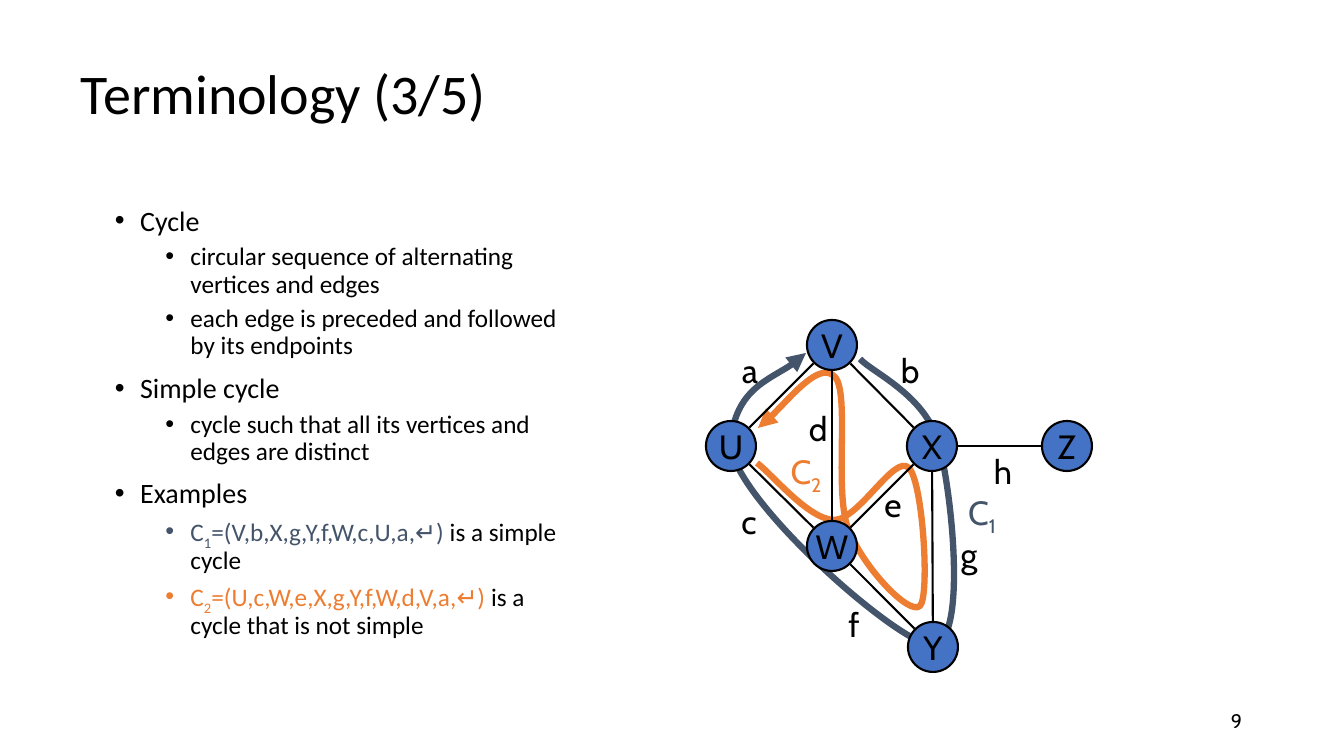
"""Build the graph terminology slide on cycles."""
import math
import pptx
import pptx.util
import pptx.dml.color
import pptx.enum.shapes
import pptx.enum.text
import pptx.oxml.ns
from lxml import etree

RGB = pptx.dml.color.RGBColor
BLACK = RGB(0, 0, 0)
SLATE = RGB(0x44, 0x54, 0x6A)
ORANGE = RGB(0xED, 0x7D, 0x31)
BLUE = RGB(0x44, 0x72, 0xC4)
ALIGN = pptx.enum.text.PP_ALIGN
ANCHOR = pptx.enum.text.MSO_ANCHOR
Pt = pptx.util.Pt
qn = pptx.oxml.ns.qn
SCALE = 914400 / 100.8

TITLE = "Terminology (3/5)"
PAGE = "9"
BODY = [
    (0, [("Cycle", BLACK, False)]),
    (1, [("circular sequence of alternating vertices and edges", BLACK, False)]),
    (1, [("each edge is preceded and followed by its endpoints", BLACK, False)]),
    (0, [("Simple cycle", BLACK, False)]),
    (1, [("cycle such that all its vertices and edges are distinct", BLACK, False)]),
    (0, [("Examples", BLACK, False)]),
    (1, [("C", SLATE, False), ("1", SLATE, True),
         ("=(V,b,X,g,Y,f,W,c,U,a,↵)", SLATE, False),
         (" is a simple cycle", BLACK, False)]),
    (1, [("C", ORANGE, False), ("2", ORANGE, True),
         ("=(U,c,W,e,X,g,Y,f,W,d,V,a,↵)", ORANGE, False),
         (" is a cycle that is not simple", BLACK, False)]),
]
LEVELS = [(20, 0.25, 10), (18, 0.75, 5)]

NODES = {"U": (731, 446), "V": (832, 345), "W": (832, 546),
         "X": (932, 446), "Y": (933, 647), "Z": (1067, 446)}
EDGES = ["VU", "WU", "WX", "XZ", "VX", "VW", "WY", "XY"]
SIZE, GAP = 50, 26

LABELS = {"a": (750, 345), "b": (910, 345), "c": (749, 496), "d": (818, 403),
          "e": (893, 479), "f": (854, 599), "g": (969, 529), "h": (1003, 446)}
NAMES = [("1", SLATE, (982, 487)), ("2", ORANGE, (806, 446))]

CYCLES = [
    (SLATE, "tailEnd", [
        (860, 359), (873, 373), (927, 396), (939, 445), (952, 492),
        (968, 645), (932, 645), (897, 644), (727, 493), (731, 442),
        (735, 389), (790, 371), (806, 353)]),
    (ORANGE, "headEnd", [
        (758, 428), (771, 420), (820, 360), (835, 377), (850, 393),
        (834, 490), (848, 528), (862, 566), (909, 616), (920, 606),
        (930, 596), (923, 482), (909, 468), (895, 453), (859, 520),
        (834, 520), (808, 519), (773, 475), (757, 463)]),
]

deck = pptx.Presentation()
deck.slide_width, deck.slide_height = (round(n * SCALE) for n in (1344, 756))
slide = deck.slides.add_slide(deck.slide_layouts[6])
shapes = slide.shapes


def px(*vals):
    return [round(val * SCALE) for val in vals]


def write(para, runs, size, face):
    para.font.size, para.font.name = Pt(size), face
    tints = {tint for _, tint, _ in runs}
    if len(tints) == 1:
        para.font.color.rgb = runs[0][1]
    for text, tint, sub in runs:
        run = para.add_run()
        run.text = text
        if len(tints) > 1:
            run.font.color.rgb = tint
        if sub:
            run.font._element.set("baseline", "-25000")


def add_box(area, runs, size, face, align=ALIGN.LEFT, anchor=ANCHOR.MIDDLE):
    frame = shapes.add_textbox(*px(*area)).text_frame
    frame.word_wrap = True
    frame.vertical_anchor = anchor
    para = frame.paragraphs[0]
    para.alignment = align
    write(para, runs, size, face)
    return frame


def add_label(spot, runs, wide):
    x, y = spot
    frame = add_box((x - wide / 2, y, wide, 50), runs, 24, "Cabin",
                    ALIGN.CENTER, ANCHOR.TOP)
    frame.word_wrap = False
    frame.auto_size = pptx.enum.text.MSO_AUTO_SIZE.SHAPE_TO_FIT_TEXT


def add_body():
    frame = shapes.add_textbox(*px(105, 202, 462, 487)).text_frame
    frame.word_wrap = True
    for i, (level, runs) in enumerate(BODY):
        size, indent, space = LEVELS[level]
        para = frame.add_paragraph() if i else frame.paragraphs[0]
        para.level = level
        para.line_spacing, para.space_before = 0.9, Pt(space)
        props = para._p.get_or_add_pPr()
        props.set("marL", str(pptx.util.Inches(indent)))
        props.set("indent", str(-pptx.util.Inches(0.25)))
        etree.SubElement(props, qn("a:buFont")).set("typeface", "Arial")
        etree.SubElement(props, qn("a:buChar")).set("char", "•")
        write(para, runs, size, "Calibri")


def add_cycle(tint, end, spots):
    pen = shapes.build_freeform(*spots[0], scale=SCALE)
    pen.add_line_segments(spots[1:], close=False)
    curve = pen.convert_to_shape()
    curve.shadow.inherit = False
    curve.fill.background()
    curve.line.color.rgb, curve.line.width = tint, Pt(4.5)
    etree.SubElement(curve.line._get_or_add_ln(), qn("a:" + end)).set("type", "triangle")
    steps = list(curve.element.iter(qn("a:lnTo")))
    for first, *rest in zip(steps[::3], steps[1::3], steps[2::3]):
        bend = etree.Element(qn("a:cubicBezTo"))
        first.addprevious(bend)
        for step in [first, *rest]:
            bend.append(step[0])
            step.getparent().remove(step)


def add_node(name, spot):
    x, y = spot
    node = shapes.add_shape(pptx.enum.shapes.MSO_SHAPE.OVAL,
                            *px(x - SIZE / 2, y - SIZE / 2, SIZE, SIZE))
    node.shadow.inherit = False
    node.fill.solid()
    node.fill.fore_color.rgb = BLUE
    node.line.color.rgb, node.line.width = BLACK, Pt(1.5)
    frame = node.text_frame
    frame.word_wrap = False
    frame.vertical_anchor = ANCHOR.MIDDLE
    frame.paragraphs[0].alignment = ALIGN.CENTER
    write(frame.paragraphs[0], [(name, BLACK, False)], 24, "Cabin")


def add_edge(start, stop):
    (x1, y1), (x2, y2) = NODES[start], NODES[stop]
    part = GAP / math.dist((x1, y1), (x2, y2))
    dx, dy = (x2 - x1) * part, (y2 - y1) * part
    edge = shapes.add_connector(pptx.enum.shapes.MSO_CONNECTOR.STRAIGHT,
                                *px(x1 + dx, y1 + dy, x2 - dx, y2 - dy))
    edge.line.color.rgb, edge.line.width = BLACK, Pt(1.5)
    etree.SubElement(edge.element.spPr, qn("a:effectLst"))


add_box((950, 701, 302, 40), [(PAGE, BLACK, False)], 14, "Cabin", ALIGN.RIGHT)
add_box((71, 33, 545, 126), [(TITLE, BLACK, False)], 40, "Calibri").paragraphs[0].line_spacing = 0.9
add_body()
for cycle in CYCLES:
    add_cycle(*cycle)
for name, spot in NODES.items():
    add_node(name, spot)
for start, stop in EDGES:
    add_edge(start, stop)
for name, spot in LABELS.items():
    add_label(spot, [(name, BLACK, False)], 38)
for digit, tint, spot in NAMES:
    add_label(spot, [("C", tint, False), (digit, tint, True)], 52)

deck.save("out.pptx")
